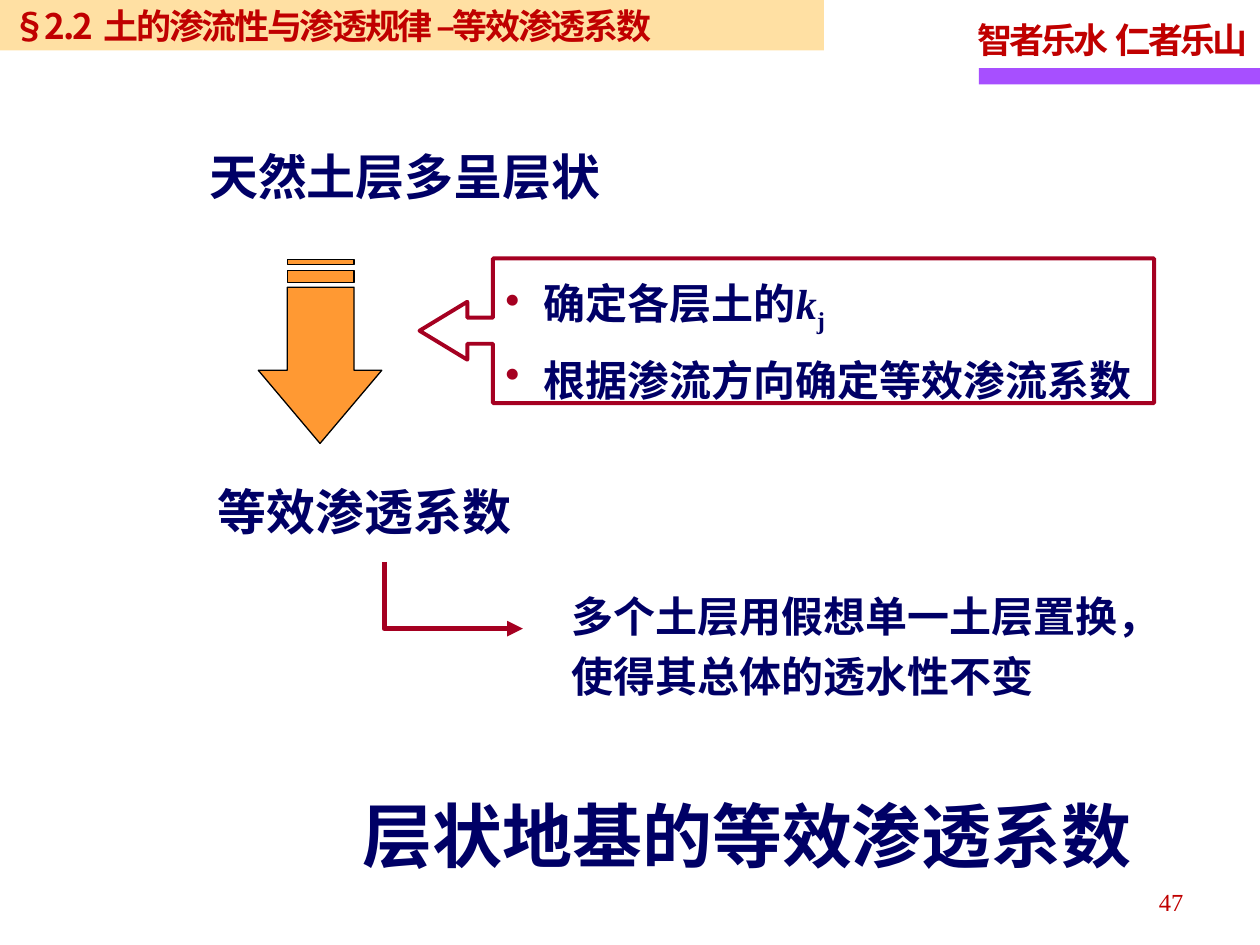
from lxml import etree
from pptx import Presentation
from pptx.dml.color import RGBColor
from pptx.enum.shapes import MSO_SHAPE
from pptx.enum.text import MSO_ANCHOR, PP_ALIGN
from pptx.oxml.ns import qn
from pptx.util import Inches, Pt

RECTANGLE = MSO_SHAPE.RECTANGLE
CALLOUT = MSO_SHAPE.LEFT_ARROW_CALLOUT
TOP, MIDDLE = MSO_ANCHOR.TOP, MSO_ANCHOR.MIDDLE
LEFT, CENTER, RIGHT = PP_ALIGN.LEFT, PP_ALIGN.CENTER, PP_ALIGN.RIGHT
SANS, SERIF = "Noto Sans CJK SC", "Times New Roman"
NAVY, RED, CRIMSON = "000066", "C00000", "A50021"


def color(value):
    """Return the colour of a hex string."""
    return RGBColor.from_string(value)


class SlideBuilder:
    """Hold the text style and the current slide."""

    def __init__(self, slide):
        """Keep the slide to draw on."""
        self.slide = slide

    def format_run(self, run, size, ink=NAVY, font=SERIF, bold=True, tracking=0):
        """Apply the text style to one run."""
        run.font.name, run.font.size, run.font.bold = font, Pt(size), bold
        run.font.color.rgb = color(ink)
        properties = run._r.get_or_add_rPr()
        etree.SubElement(properties, qn("a:ea")).set("typeface", SANS)
        if tracking:
            properties.set("spc", str(round(tracking * 100)))

    def fill_text(self, shape, text, size, align=LEFT, anchor=MIDDLE, wrap=True,
                  spacing=None, **style):
        """Put one paragraph into a shape."""
        frame = shape.text_frame
        frame.text, frame.word_wrap, frame.vertical_anchor = text, wrap, anchor
        paragraph = frame.paragraphs[0]
        paragraph.alignment = align
        if spacing:
            paragraph.line_spacing = Pt(spacing)
        self.format_run(paragraph.runs[0], size, **style)

    def title(self, box, text, size):
        """Place and fill the title placeholder."""
        shape = self.slide.shapes.title
        shape.left, shape.top, shape.width, shape.height = map(Inches, box)
        self.fill_text(shape, text, size, CENTER)

    def text(self, box, text, size, **style):
        """Add a text box."""
        shape = self.slide.shapes.add_textbox(*map(Inches, box))
        self.fill_text(shape, text, size, **style)
        return shape

    def paint(self, shape, fill=None, line=None, width=1):
        """Set fill and line and drop the shadow."""
        shape.shadow.inherit = False
        if fill:
            shape.fill.solid()
            shape.fill.fore_color.rgb = color(fill)
        else:
            shape.fill.background()
        if line:
            shape.line.color.rgb = color(line)
            shape.line.width = Pt(width)
        else:
            shape.line.fill.background()
        return shape

    def shape(self, kind, box, **look):
        """Add a preset shape."""
        shape = self.slide.shapes.add_shape(kind, *map(Inches, box))
        return self.paint(shape, **look)

    def outline(self, contours, closed=True, **look):
        """Add a freeform made of one or more contours."""
        contours = [[(Inches(x), Inches(y)) for x, y in points] for points in contours]
        builder = self.slide.shapes.build_freeform(*contours[0][0])
        for index, points in enumerate(contours):
            if index:
                builder.move_to(*points[0])
            builder.add_line_segments(points[1:], close=closed)
        return self.paint(builder.convert_to_shape(), **look)

    def bullets(self, shape, items, size, spacing):
        """Add bulleted paragraphs of (text, font, italic, baseline) runs."""
        frame = shape.text_frame
        frame.word_wrap, frame.vertical_anchor = True, TOP
        frame.margin_right = 0
        for index, pieces in enumerate(items):
            paragraph = frame.add_paragraph() if index else frame.paragraphs[0]
            paragraph.alignment, paragraph.line_spacing = LEFT, Pt(spacing)
            properties = paragraph._p.get_or_add_pPr()
            properties.set("marL", str(Inches(0.23)))
            properties.set("indent", str(-Inches(0.23)))
            bullet_color = etree.SubElement(properties, qn("a:buClr"))
            etree.SubElement(bullet_color, qn("a:srgbClr")).set("val", CRIMSON)
            etree.SubElement(properties, qn("a:buChar")).set("char", "•")
            for text, font, italic, baseline in pieces:
                run = paragraph.add_run()
                run.text = text
                self.format_run(run, size, font=font)
                run.font.italic = italic
                if baseline:
                    run._r.get_or_add_rPr().set("baseline", str(baseline * 1000))


def bar(top, bottom):
    """Return the corners of one stripe of the down arrow."""
    return [(2.28, top), (2.81, top), (2.81, bottom), (2.28, bottom)]


def main():
    """Build and save the slide."""
    presentation = Presentation()
    presentation.slide_width, presentation.slide_height = Inches(10), Inches(7.5)
    slide = presentation.slides.add_slide(presentation.slide_layouts[5])
    page = SlideBuilder(slide)

    page.shape(RECTANGLE, (7.77, 0.54, 2.23, 0.13), fill="A74FFF")
    page.text((7.66, 0.07, 2.36, 0.49), "智者乐水  仁者乐山", 20, wrap=False,
              ink=RED, tracking=-1.7)
    page.title((2.68, 6.24, 6.5, 0.77), "层状地基的等效渗透系数", 40)
    page.text((1.63, 3.77, 2.6, 0.57), "等效渗透系数", 28)

    callout = page.shape(CALLOUT, (3.33, 2.05, 5.83, 1.15), line=CRIMSON, width=2.25)
    for index, value in enumerate((0.18, 0.2, 0.33, 0.9)):
        callout.adjustments[index] = value
    page.bullets(callout, [
        [(" 确定各层土的", SANS, False, 0), ("k", SERIF, True, 0), ("j", SERIF, False, -25)],
        [(" 根据渗流方向确定等效渗流系数", SANS, False, 0)],
    ], 24, 40)

    heading = page.text((1.66, 1.16, 3.12, 0.47), "天然土层多呈层状", 28,
                        wrap=False, font=SANS)
    frame = heading.text_frame
    frame.margin_left = frame.margin_top = frame.margin_right = frame.margin_bottom = 0

    arrow = [(2.05, 2.94), (2.28, 2.94), (2.28, 2.28), (2.81, 2.28),
             (2.81, 2.94), (3.03, 2.94), (2.54, 3.52)]
    page.outline([arrow, bar(2.15, 2.24), bar(2.06, 2.1)],
                 fill="FF9933", line="000000", width=0.75)

    page.text((4.44, 4.56, 4.87, 1.06), "多个土层用假想单一土层置换，使得其总体的透水性不变",
              24, anchor=TOP, spacing=34.3)
    elbow = page.outline([[(3.05, 4.46), (3.05, 4.99), (4.15, 4.99)]], closed=False,
                         line=CRIMSON, width=3)
    etree.SubElement(elbow.line._get_or_add_ln(), qn("a:tailEnd")).set("type", "triangle")

    page.text((7.16, 6.96, 2.33, 0.4), "47", 14, align=RIGHT, ink=RED, bold=False)
    header = page.shape(RECTANGLE, (0, 0, 6.54, 0.4), fill="FFCC66")
    tint = header._element.spPr.find(qn("a:solidFill"))[0]
    etree.SubElement(tint, qn("a:alpha")).set("val", "60000")
    page.fill_text(header, "§2.2  土的渗流性与渗透规律 –等效渗透系数", 20,
                   font=SANS, ink=RED, tracking=-1.4)
    presentation.save("out.pptx")


if __name__ == "__main__":
    main()
